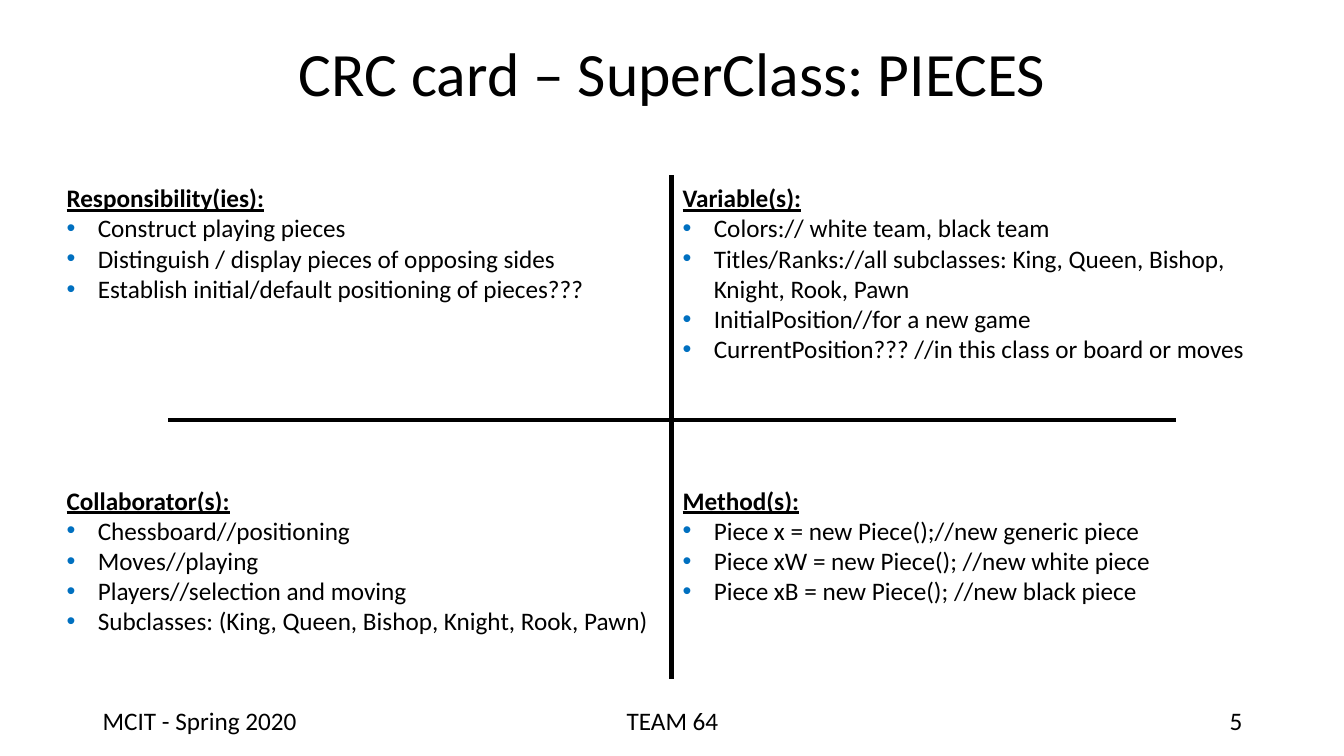
"""Build the CRC card slide for the PIECES superclass."""
from dataclasses import dataclass

import pptx
import pptx.dml.color
import pptx.enum.shapes
import pptx.enum.text
import pptx.oxml.xmlchemy
import pptx.util
from lxml import etree
from pptx.oxml.ns import qn
from pptx.util import Inches, Pt

ALIGN = pptx.enum.text.PP_ALIGN
ANCHOR = pptx.enum.text.MSO_ANCHOR

TITLE = "CRC card – SuperClass: PIECES"
QUADRANTS = [
    (0, 0, 5.5, "Responsibility(ies):", [
        "Construct playing pieces",
        "Distinguish / display pieces of opposing sides",
        "Establish initial/default positioning of pieces???",
    ]),
    (0, 1, 5.91, "Collaborator(s):", [
        "Chessboard//positioning",
        "Moves//playing",
        "Players//selection and moving",
        "Subclasses: (King, Queen, Bishop, Knight, Rook, Pawn)",
    ]),
    (1, 0, 6, "Variable(s):", [
        "Colors:// white team, black team",
        "Titles/Ranks://all subclasses: King, Queen, Bishop, Knight, Rook, Pawn",
        "InitialPosition//for a new game",
        "CurrentPosition??? //in this class or board or moves",
    ]),
    (1, 1, 5.5, "Method(s):", [
        "Piece x = new Piece();//new generic piece",
        "Piece xW = new Piece(); //new white piece",
        "Piece xB = new Piece(); //new black piece",
    ]),
]
FOOTER = [
    ("MCIT - Spring 2020", 0.92, 3, ALIGN.LEFT),
    ("TEAM 64", 4.42, 4.5, ALIGN.CENTER),
    ("5", 9.42, 3, ALIGN.RIGHT),
]
DIVIDERS = [(6.66, 1.74, 6.66, 6.74), (1.67, 4.17, 11.66, 4.17)]
COLUMN_LEFTS = (0.61, 6.72)
ROW_TOP, ROW_PITCH, ROW_HEIGHT = 1.76, 3, 2
BULLET_INDENT = 0.31


@dataclass(frozen=True)
class Theme:
    font: str = "Calibri"
    ink: str = "000000"
    bullet: str = "0070C0"
    title_size: int = 44
    text_size: int = 18
    divider_width: int = 3


THEME = Theme()


def place(part, left, top, width, height):
    part.left, part.top = Inches(left), Inches(top)
    part.width, part.height = Inches(width), Inches(height)


def prepare(frame, inset, anchor):
    frame.word_wrap = True
    frame.auto_size = pptx.enum.text.MSO_AUTO_SIZE.NONE
    frame.vertical_anchor = anchor
    frame.margin_left = frame.margin_right = Inches(inset)
    frame.margin_top = frame.margin_bottom = Inches(0.05)


def write(paragraph, words, size, align=ALIGN.LEFT, heading=False):
    paragraph.text = words
    paragraph.alignment = align
    paragraph.space_before = Pt(0)
    font = paragraph.font
    font.name, font.size = THEME.font, Pt(size)
    font.color.rgb = pptx.dml.color.RGBColor.from_string(THEME.ink)
    font.bold = font.underline = heading


def set_bullet(paragraph, bulleted):
    properties = paragraph._p.get_or_add_pPr()
    indent = Inches(BULLET_INDENT) if bulleted else 0
    properties.set("marL", str(indent))
    properties.set("indent", str(-indent))
    marks = [etree.Element(qn("a:buNone"))]
    if bulleted:
        color = etree.Element(qn("a:buClr"))
        etree.SubElement(color, qn("a:srgbClr"), val=THEME.bullet)
        marks = [color, etree.Element(qn("a:buFont"), typeface="Arial"),
                 etree.Element(qn("a:buChar"), char="•")]
    defaults = properties.find(qn("a:defRPr"))
    for mark in marks:
        defaults.addprevious(mark)


def add_title(slide):
    title = slide.shapes.title
    place(title, 0.92, 0.03, 11.5, 1.45)
    prepare(title.text_frame, 0.1, ANCHOR.MIDDLE)
    heading = title.text_frame.paragraphs[0]
    write(heading, TITLE, THEME.title_size, ALIGN.CENTER)
    heading.line_spacing = 0.9


def fill_quadrant(body, column, row, width, heading, items):
    place(body, COLUMN_LEFTS[column], ROW_TOP + row * ROW_PITCH, width, ROW_HEIGHT)
    frame = body.text_frame
    prepare(frame, 0.05, ANCHOR.TOP)
    for index, words in enumerate([heading, *items]):
        paragraph = frame.add_paragraph() if index else frame.paragraphs[0]
        write(paragraph, words, THEME.text_size, heading=index == 0)
        set_bullet(paragraph, index > 0)


def add_divider(slide, ends):
    divider = slide.shapes.add_connector(
        pptx.enum.shapes.MSO_CONNECTOR.STRAIGHT, *map(Inches, ends))
    divider.line.color.rgb = pptx.dml.color.RGBColor.from_string(THEME.ink)
    divider.line.width = Pt(THEME.divider_width)
    etree.SubElement(divider._element.spPr, qn("a:effectLst"))


def add_footer(slide, words, left, width, align):
    footer = slide.shapes.add_textbox(
        Inches(left), Inches(6.95), Inches(width), Inches(0.4))
    prepare(footer.text_frame, 0.1, ANCHOR.TOP)
    write(footer.text_frame.paragraphs[0], words, THEME.text_size, align)


def main():
    deck = pptx.Presentation()
    deck.slide_width, deck.slide_height = Inches(13.33), Inches(7.5)
    slide = deck.slides.add_slide(deck.slide_layouts.get_by_name("Comparison"))
    add_title(slide)
    bodies = [slide.placeholders[index] for index in range(1, 5)]
    for body, quadrant in zip(bodies, QUADRANTS):
        fill_quadrant(body, *quadrant)
    for ends in DIVIDERS:
        add_divider(slide, ends)
    for entry in FOOTER:
        add_footer(slide, *entry)
    deck.save("out.pptx")


if __name__ == "__main__":
    main()
